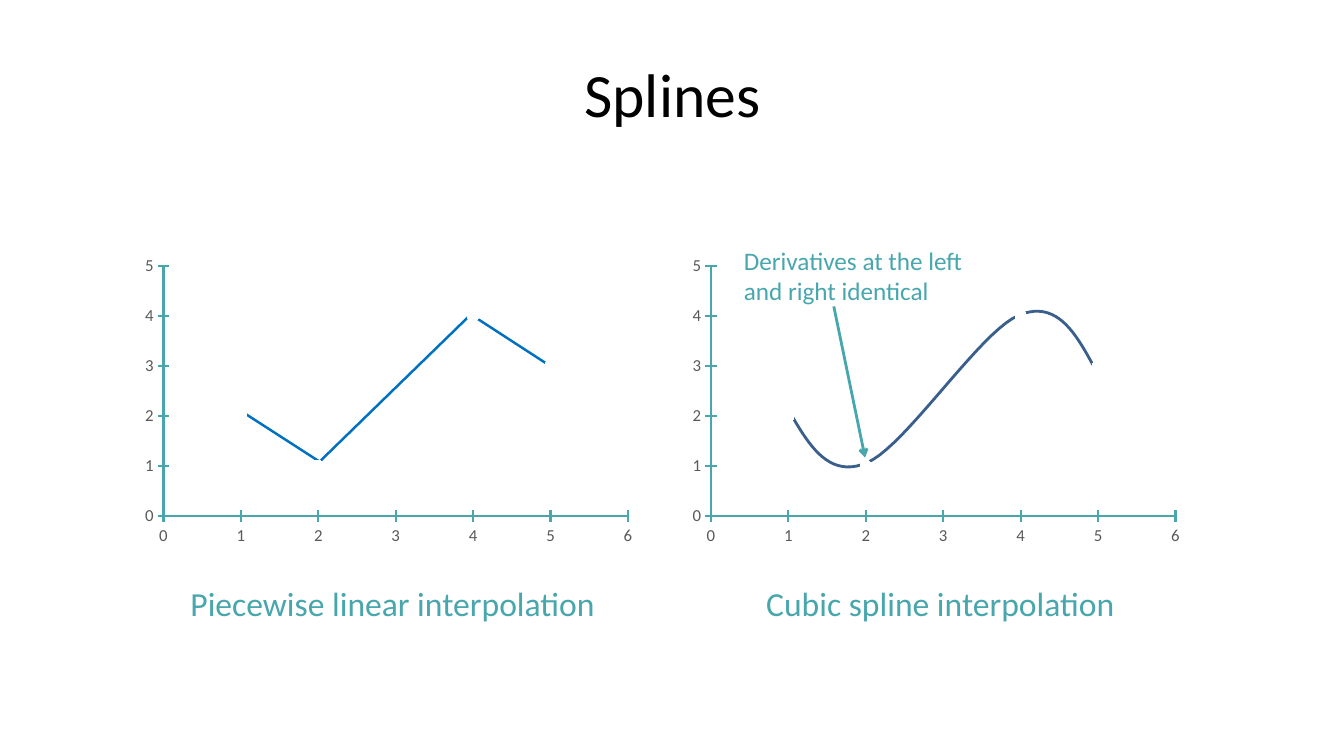
"""Build the slide comparing linear and cubic spline interpolation."""
from lxml import etree
from pptx import Presentation
from pptx.chart.data import XyChartData
from pptx.dml.color import RGBColor
from pptx.enum.chart import XL_CHART_TYPE as CT, XL_MARKER_STYLE as MS, XL_TICK_MARK as TM
from pptx.enum.shapes import MSO_CONNECTOR as MC
from pptx.enum.text import MSO_ANCHOR as MA, PP_ALIGN as PA
from pptx.oxml import parse_xml
from pptx.oxml.ns import nsdecls, qn
from pptx.util import Inches, Pt

FONT, TEAL, GREY, WHITE = "Calibri", "48A6AD", "595959", "FFFFFF"
BLUE, NAVY = "0070C0", "3A5F8C"
TITLE = ("Splines", (0.67, 0.3, 12, 1.25), 44, "000000")
LABELS = [
    ("Piecewise linear interpolation", (1.79, 5.73, 4.25, 0.5), 24, TEAL),
    ("Cubic spline interpolation", (7.5, 5.73, 3.69, 0.5), 24, TEAL),
    ("Derivatives at the left\nand right identical", (7.28, 2.38, 2.46, 0.71), 18, TEAL),
]
KNOTS = [(1, 2), (2, 1), (4, 4), (5, 3)]
CHART_LEFTS, CHART_TOP, CHART_SIZE = (1.34, 6.77), 2.48, (5.03, 3)
PLOT = {"x": 0.056, "y": 0.053, "w": 0.916, "h": 0.827}
POLYLINE = [(2.41, 4.09), (3.17, 4.58), (4.67, 3.12), (5.41, 3.6)]
SPLINE = [(7.84, 4.1), (8.03, 4.43), (8.23, 4.75), (8.6, 4.59), (8.98, 4.43),
          (9.72, 3.29), (10.1, 3.13), (10.47, 2.97), (10.66, 3.29), (10.84, 3.62)]
ARROW = ((8.27, 3.04), (8.58, 4.54))
STEPS = 20


def rgb(value):
    return RGBColor.from_string(value)


def add_text(slide, text, box, size, color):
    sp = slide.shapes.add_textbox(*map(Inches, box))
    tf = sp.text_frame
    tf.word_wrap = False
    tf.text = text
    for p in tf.paragraphs:
        for r in p.runs:
            r.font.name, r.font.size = FONT, Pt(size)
            r.font.color.rgb = rgb(color)
    return tf


def add_line(slide, start, end, color, width):
    sp = slide.shapes.add_connector(MC.STRAIGHT, *map(Inches, start + end))
    sp.line.color.rgb, sp.line.width = rgb(color), Pt(width)
    etree.SubElement(sp._element.spPr, qn("a:effectLst"))
    return sp


def bezier(points, t):
    weights = ((1 - t) ** 3, 3 * t * (1 - t) ** 2, 3 * t * t * (1 - t), t ** 3)
    return tuple(Inches(sum(w * pt[i] for w, pt in zip(weights, points))) for i in (0, 1))


def add_curve(slide, controls):
    points = [bezier(controls[i:i + 4], step / STEPS)
              for i in range(0, len(controls) - 1, 3) for step in range(1, STEPS + 1)]
    builder = slide.shapes.build_freeform(*map(Inches, controls[0]))
    builder.add_line_segments(points, close=False)
    sp = builder.convert_to_shape()
    sp.shadow.inherit = False
    sp.fill.background()
    sp.line.color.rgb, sp.line.width = rgb(NAVY), Pt(2)


def style_axis(axis, top):
    axis.minimum_scale, axis.maximum_scale, axis.major_unit = 0, top, 1
    axis.has_major_gridlines = False
    axis.major_tick_mark, axis.minor_tick_mark = TM.CROSS, TM.NONE
    axis.format.line.color.rgb, axis.format.line.width = rgb(TEAL), Pt(1.5)
    font = axis.tick_labels.font
    font.name, font.size, font.color.rgb = FONT, Pt(12), rgb(GREY)


def clear_background(chart):
    space = chart._chartSpace
    area = space.find(".//" + qn("c:plotArea"))
    for old in area.findall(qn("c:layout")):
        area.remove(old)
    places = "".join(f'<c:{key} val="{val}"/>' for key, val in PLOT.items())
    area.insert(0, parse_xml(
        f'<c:layout {nsdecls("c")}><c:manualLayout><c:layoutTarget val="inner"/>'
        f'<c:xMode val="edge"/><c:yMode val="edge"/>{places}</c:manualLayout></c:layout>'))
    blank = f'<c:spPr {nsdecls("c", "a")}><a:noFill/><a:ln><a:noFill/></a:ln></c:spPr>'
    area.append(parse_xml(blank))
    space.find(qn("c:chart")).addnext(parse_xml(blank))


def add_knots(slide, left):
    data = XyChartData()
    series = data.add_series("Series 1")
    for x, y in KNOTS:
        series.add_data_point(x, y)
    box = map(Inches, (left, CHART_TOP) + CHART_SIZE)
    chart = slide.shapes.add_chart(CT.XY_SCATTER, *box, data).chart
    chart.has_legend = chart.has_title = False
    chart.font.name, chart.font.size = FONT, Pt(10)
    chart.font.color.rgb = rgb("000000")
    style_axis(chart.category_axis, 6)
    style_axis(chart.value_axis, 5)
    plot = chart.plots[0]
    plot.vary_by_categories = False
    knots = plot.series[0]
    knots.smooth = False
    knots.format.line.fill.background()
    marker = knots.marker
    marker.style, marker.size = MS.CIRCLE, 8
    marker.format.fill.solid()
    marker.format.fill.fore_color.rgb = rgb(WHITE)
    marker.format.line.color.rgb = rgb(WHITE)
    clear_background(chart)


def main():
    prs = Presentation()
    prs.slide_width, prs.slide_height = Inches(13.33), Inches(7.5)
    slide = prs.slides.add_slide(prs.slide_layouts[6])
    tf = add_text(slide, *TITLE)
    tf.word_wrap, tf.vertical_anchor = True, MA.MIDDLE
    tf.paragraphs[0].alignment = PA.CENTER
    for start, end in zip(POLYLINE, POLYLINE[1:]):
        add_line(slide, start, end, BLUE, 1.75)
    add_knots(slide, CHART_LEFTS[0])
    add_curve(slide, SPLINE)
    add_knots(slide, CHART_LEFTS[1])
    arrow = add_line(slide, *ARROW, TEAL, 2)
    etree.SubElement(arrow.line._get_or_add_ln(), qn("a:tailEnd"), type="arrow")
    for label in LABELS:
        add_text(slide, *label)
    prs.save("out.pptx")


if __name__ == "__main__":
    main()
